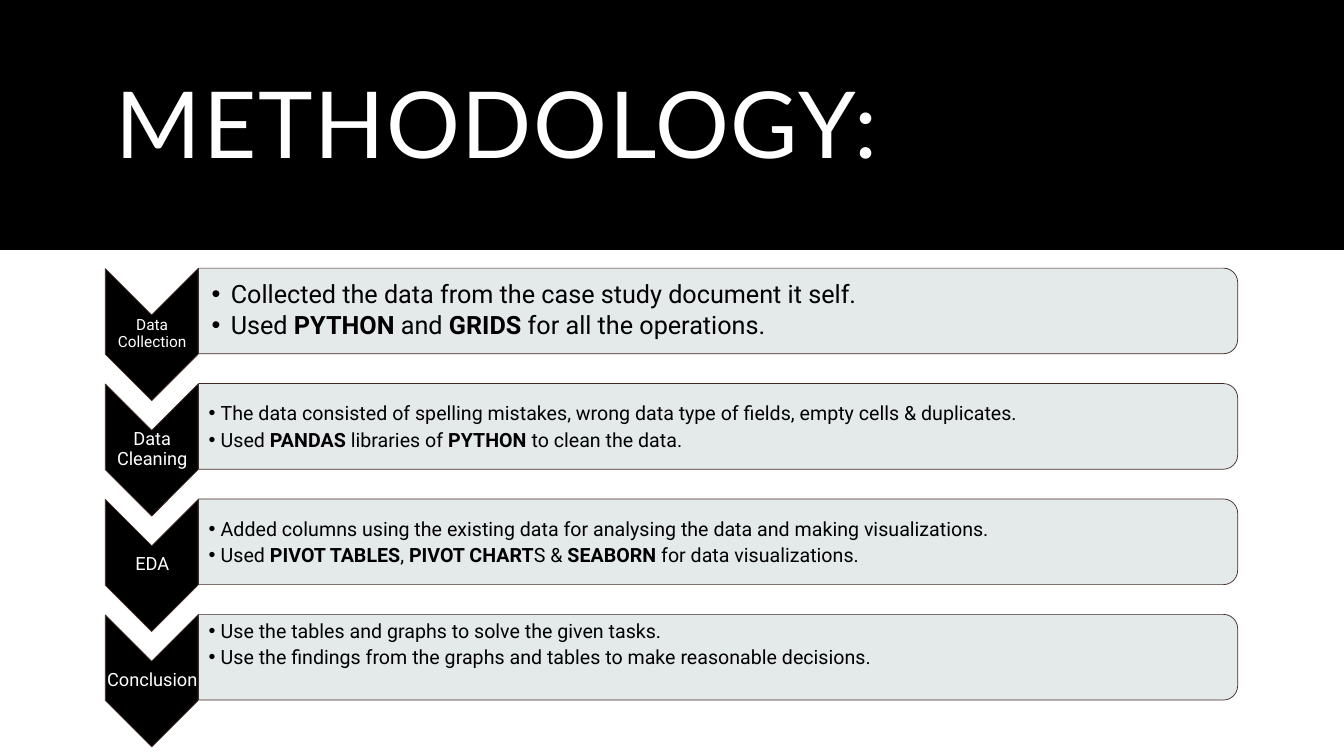
from dataclasses import dataclass

from lxml import etree
from pptx import Presentation
from pptx import util as u
from pptx.dml.color import RGBColor
from pptx.enum import shapes, text
from pptx.oxml.ns import qn

EMU_PER_PX = 4572  # 200 px to the inch


def px(count: int) -> u.Emu:
    return u.Emu(count * EMU_PER_PX)


@dataclass(frozen=True)
class Theme:
    dark: RGBColor = RGBColor(0x00, 0x00, 0x00)
    light: RGBColor = RGBColor(0xFF, 0xFF, 0xFF)
    panel: RGBColor = RGBColor(0xE2, 0xE7, 0xE8)
    outline: RGBColor = RGBColor(0x41, 0x2A, 0x24)
    panel_alpha: int = 90000
    outline_pt: float = 0.5
    title_font: str = "Lato"
    body_font: str = "Roboto"
    title_pt: int = 66


@dataclass(frozen=True)
class Step:
    label: str
    points: tuple[str, ...]  # ** marks bold spans
    label_pt: int = 13
    text_pt: int = 14
    line_spacing: float = 1.0
    indent: int = 24
    inset_left: int = 22
    inset_bottom: int = 2


THEME = Theme()
STEP_PITCH = 229
STEPS = (
    Step("Data Collection",
         ("Collected the data from the case study document it self.",
          "Used **PYTHON** and **GRIDS** for all the operations."),
         label_pt=11, text_pt=18, line_spacing=0.9, indent=38, inset_left=28),
    Step("Data Cleaning",
         ("The data consisted of spelling mistakes, wrong data type of fields, "
          "empty cells & duplicates.",
          "Used **PANDAS** libraries of **PYTHON **to clean the data.")),
    Step("EDA",
         ("Added columns using the existing data for analysing the data "
          "and making visualizations.",
          "Used **PIVOT TABLES**, **PIVOT CHART**S & **SEABORN** "
          "for data visualizations.")),
    Step("Conclusion",
         ("Use the tables and graphs to solve the given tasks.",
          "Use the findings from the graphs and tables "
          "to make reasonable decisions."),
         inset_bottom=56),
)


def place(box, left: int, top: int, width: int, height: int) -> None:
    box.left, box.top, box.width, box.height = map(px, (left, top, width, height))


def set_frame(frame, left: int, top: int, right: int, bottom: int) -> None:
    frame.word_wrap = True
    frame.auto_size = text.MSO_AUTO_SIZE.NONE
    frame.vertical_anchor = text.MSO_ANCHOR.MIDDLE
    frame.margin_left, frame.margin_top = px(left), px(top)
    frame.margin_right, frame.margin_bottom = px(right), px(bottom)


def set_font(font, name: str, size: float, color: RGBColor) -> None:
    font.name, font.size, font.bold = name, u.Pt(size), False
    font.color.rgb = color


def add_turned(page, kind, center_x: int, center_y: int, width: int, height: int,
               fill: RGBColor):
    """Add an outlined shape turned a quarter clockwise about its centre."""
    shape = page.shapes.add_shape(
        kind, px(center_x - width // 2), px(center_y - height // 2),
        px(width), px(height))
    shape.rotation = 90
    shape.shadow.inherit = False
    shape.fill.solid()
    shape.fill.fore_color.rgb = fill
    shape.line.color.rgb = THEME.outline
    shape.line.width = u.Pt(THEME.outline_pt)
    return shape


def add_label(page, step: Step, top: int) -> None:
    box = page.shapes.add_textbox(px(210), px(top), px(184), px(78))
    set_frame(box.text_frame, 2, 2, 2, 2)
    para = box.text_frame.paragraphs[0]
    para.text = step.label
    para.alignment = text.PP_ALIGN.CENTER
    para.line_spacing = 0.9
    set_font(para.font, THEME.body_font, step.label_pt, THEME.light)


def fill_list(box, step: Step, top: int) -> None:
    place(box, 392, top, 2054, 154)
    frame = box.text_frame
    set_frame(frame, step.inset_left, 2, 2, step.inset_bottom)
    for index, point in enumerate(step.points):
        para = frame.add_paragraph() if index else frame.paragraphs[0]
        para.alignment = text.PP_ALIGN.LEFT
        para.line_spacing = step.line_spacing
        para.space_before = u.Pt(0)
        para.space_after = u.Pt(round(step.text_pt * 0.15, 1))
        # Hanging bullet
        props = para._p.get_or_add_pPr()
        props.set("marL", str(px(step.indent)))
        props.set("indent", str(px(-step.indent)))
        etree.SubElement(props, qn("a:buFont")).set("typeface", "Arial")
        etree.SubElement(props, qn("a:buChar")).set("char", "•")
        set_font(para.font, THEME.body_font, step.text_pt, THEME.dark)
        for part, words in enumerate(point.split("**")):
            if words:
                span = para.add_run()
                span.text = words
                if part % 2:
                    span.font.bold = True


def add_step(page, step: Step, body, offset: int) -> None:
    add_turned(page, shapes.MSO_SHAPE.CHEVRON, 301, 664 + offset, 262, 184,
               THEME.dark)
    add_label(page, step, 624 + offset)
    panel = add_turned(page, shapes.MSO_SHAPE.ROUND_2_SAME_RECTANGLE,
                       1425, 617 + offset, 170, 2062, THEME.panel)
    color = panel.element.xpath("./p:spPr/a:solidFill/a:srgbClr")[0]
    etree.SubElement(color, qn("a:alpha")).set("val", str(THEME.panel_alpha))
    fill_list(body, step, 540 + offset)
    panel.element.addnext(body.element)  # list sits in front of its panel


def add_heading(page, width: int) -> None:
    title = page.shapes.title
    band = page.shapes.add_shape(shapes.MSO_SHAPE.RECTANGLE, 0, 0,
                                 px(width), px(496))
    band.shadow.inherit = False
    band.fill.solid()
    band.fill.fore_color.rgb = THEME.dark
    band.line.fill.background()
    title.element.addprevious(band.element)

    place(title, 210, 70, 2246, 372)
    set_frame(title.text_frame, 20, 10, 20, 10)
    para = title.text_frame.paragraphs[0]
    para.alignment = text.PP_ALIGN.LEFT
    para.line_spacing = 0.9
    set_font(para.font, THEME.title_font, THEME.title_pt, THEME.light)
    span = para.add_run()
    span.text = "METHODOLOGY:"
    span._r.get_or_add_rPr().set("spc", "120")


def main() -> None:
    deck = Presentation()
    width, height = 2667, 1500
    deck.slide_width, deck.slide_height = px(width), px(height)

    # The comparison layout has a title and four text bodies
    page = deck.slides.add_slide(deck.slide_layouts.get_by_name("Comparison"))
    bodies = [box for box in page.placeholders
              if box.placeholder_format.idx != 0]
    add_heading(page, width)
    for row, (step, body) in enumerate(zip(STEPS, bodies)):
        add_step(page, step, body, row * STEP_PITCH)
    deck.save("out.pptx")


if __name__ == "__main__":
    main()
